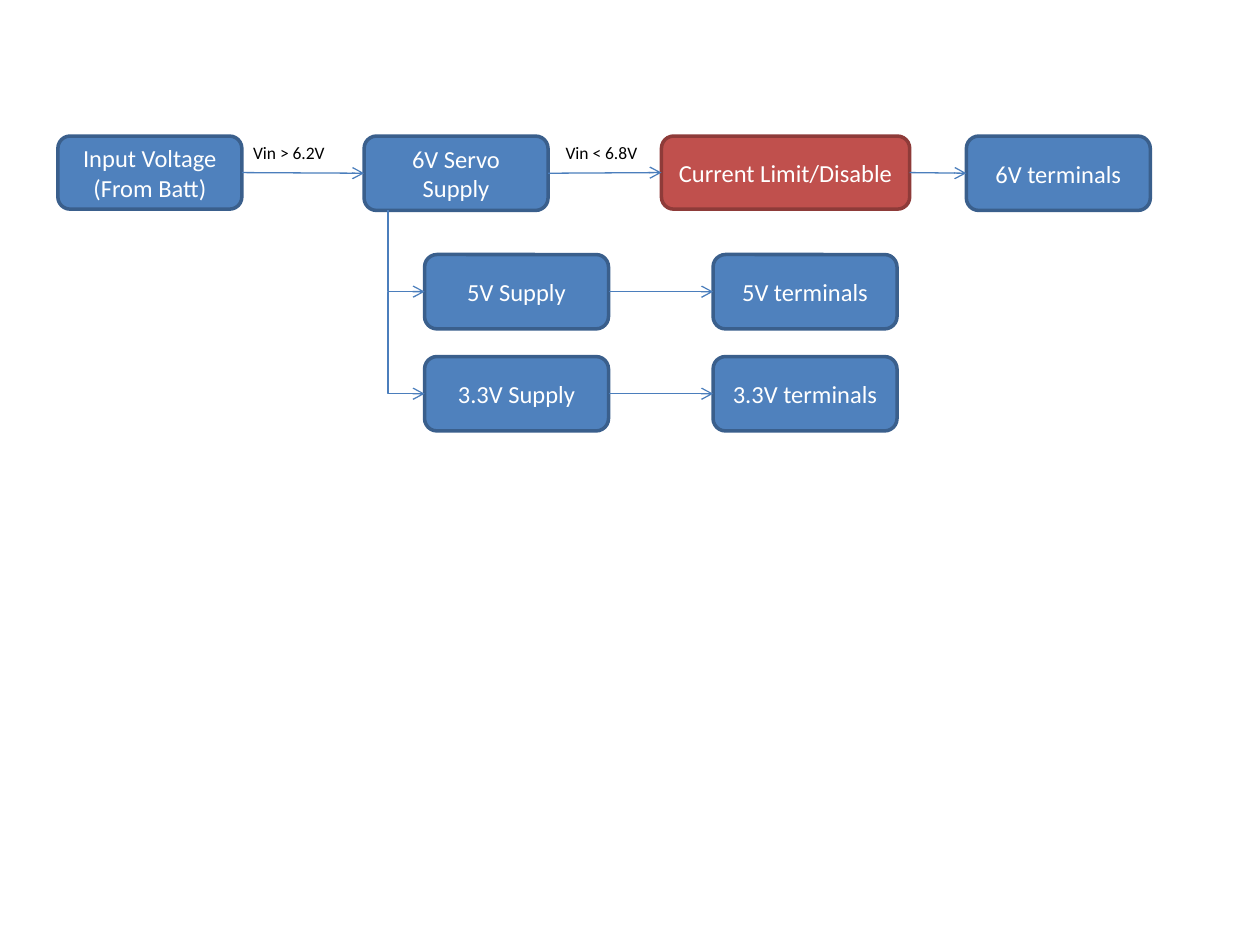
from pptx import Presentation
from pptx.dml.color import RGBColor
from pptx.enum.shapes import MSO_CONNECTOR, MSO_SHAPE
from pptx.enum.text import MSO_ANCHOR, MSO_AUTO_SIZE, PP_ALIGN
from pptx.oxml.ns import qn
from pptx.util import Inches, Pt
from lxml import etree

ROUNDED = MSO_SHAPE.ROUNDED_RECTANGLE
STRAIGHT = MSO_CONNECTOR.STRAIGHT
ELBOW = MSO_CONNECTOR.ELBOW
MIDDLE = MSO_ANCHOR.MIDDLE
FIT_SHAPE = MSO_AUTO_SIZE.SHAPE_TO_FIT_TEXT
CENTER = PP_ALIGN.CENTER
LEFT = PP_ALIGN.LEFT

BLUE = RGBColor(0x4F, 0x81, 0xBD)
DARK_BLUE = RGBColor(0x3A, 0x5F, 0x8C)
RED = RGBColor(0xC0, 0x50, 0x4D)
DARK_RED = RGBColor(0x8E, 0x3B, 0x39)
ARROW_BLUE = RGBColor(0x4B, 0x7E, 0xBC)
WHITE = RGBColor(0xFF, 0xFF, 0xFF)
BLACK = RGBColor(0x00, 0x00, 0x00)

LEFT_SIDE, RIGHT_SIDE = 1, 3
TOP_ROW = 1.08
BOX_WIDTH, BOX_HEIGHT = 1.46, 0.59
SUPPLY_LEFT, TERMINAL_LEFT = 3.37, 5.66
TRUNK_X, TRUNK_TOP = 3.08, TOP_ROW + BOX_HEIGHT
BRANCHES = [("5V", 2.02), ("3.3V", 2.83)]


class Diagram:
    """Draws the boxes, arrows and labels of a block diagram on one slide."""

    font = "Calibri"

    def __init__(self, slide):
        self.shapes = slide.shapes

    def set_text(self, frame, text, size, color, alignment):
        frame.text = text
        for para in frame.paragraphs:
            para.alignment = alignment
            for span in para.runs:
                span.font.name = self.font
                span.font.size = Pt(size)
                span.font.color.rgb = color

    def box(self, text, left, top, width=BOX_WIDTH, height=BOX_HEIGHT,
            fill=BLUE, border=DARK_BLUE):
        box = self.shapes.add_shape(
            ROUNDED, Inches(left), Inches(top), Inches(width), Inches(height))
        box.shadow.inherit = False
        box.fill.solid()
        box.fill.fore_color.rgb = fill
        box.line.color.rgb = border
        box.line.width = Pt(2)
        box.text_frame.vertical_anchor = MIDDLE
        self.set_text(box.text_frame, text, 14, WHITE, CENTER)
        return box

    def label(self, text, left, top):
        box = self.shapes.add_textbox(
            Inches(left), Inches(top), Inches(0.78), Inches(0.27))
        box.text_frame.word_wrap = False
        box.text_frame.auto_size = FIT_SHAPE
        self.set_text(box.text_frame, text, 10, BLACK, LEFT)

    def style_arrow(self, arrow):
        arrow.line.color.rgb = ARROW_BLUE
        arrow.line.width = Pt(0.75)
        properties = arrow.element.spPr
        etree.SubElement(properties.find(qn("a:ln")), qn("a:tailEnd"), type="arrow")
        etree.SubElement(properties, qn("a:effectLst"))

    def arrow(self, source, target):
        arrow = self.shapes.add_connector(STRAIGHT, 0, 0, 0, 0)
        arrow.begin_connect(source, RIGHT_SIDE)
        arrow.end_connect(target, LEFT_SIDE)
        self.style_arrow(arrow)

    def elbow(self, x, y, end_x, end_y):
        run, drop = end_x - x, end_y - y
        left = (x + end_x - drop) / 2
        top = (y + end_y - run) / 2
        arrow = self.shapes.add_connector(
            ELBOW, Inches(left), Inches(top), Inches(left + drop), Inches(top + run))
        properties = arrow.element.spPr
        properties.find(qn("a:prstGeom")).set("prst", "bentConnector2")
        transform = properties.find(qn("a:xfrm"))
        transform.set("rot", str(270 * 60000))
        transform.set("flipH", "1")
        self.style_arrow(arrow)


def main():
    deck = Presentation()
    deck.slide_width, deck.slide_height = Inches(10), Inches(7.5)
    diagram = Diagram(deck.slides.add_slide(deck.slide_layouts[6]))

    battery = diagram.box("Input Voltage\n(From Batt)", 0.46, TOP_ROW, height=0.58)
    servo = diagram.box("6V Servo Supply", 2.89, TOP_ROW)
    limiter = diagram.box("Current Limit/Disable", 5.25, TOP_ROW, 1.97, 0.58,
                          RED, DARK_RED)
    servo_terminals = diagram.box("6V terminals", 7.67, TOP_ROW)
    chain = [battery, servo, limiter, servo_terminals]
    for source, target in zip(chain, chain[1:]):
        diagram.arrow(source, target)

    for voltage, top in BRANCHES:
        supply = diagram.box(f"{voltage} Supply", SUPPLY_LEFT, top)
        terminals = diagram.box(f"{voltage} terminals", TERMINAL_LEFT, top)
        diagram.arrow(supply, terminals)
    branch_start = TRUNK_TOP
    for voltage, top in BRANCHES:
        branch_end = top + BOX_HEIGHT / 2
        diagram.elbow(TRUNK_X, branch_start, SUPPLY_LEFT, branch_end)
        branch_start = branch_end

    diagram.label("Vin > 6.2V", 1.91, TOP_ROW)
    diagram.label("Vin < 6.8V", 4.39, TOP_ROW)
    deck.save("out.pptx")


if __name__ == "__main__":
    main()
